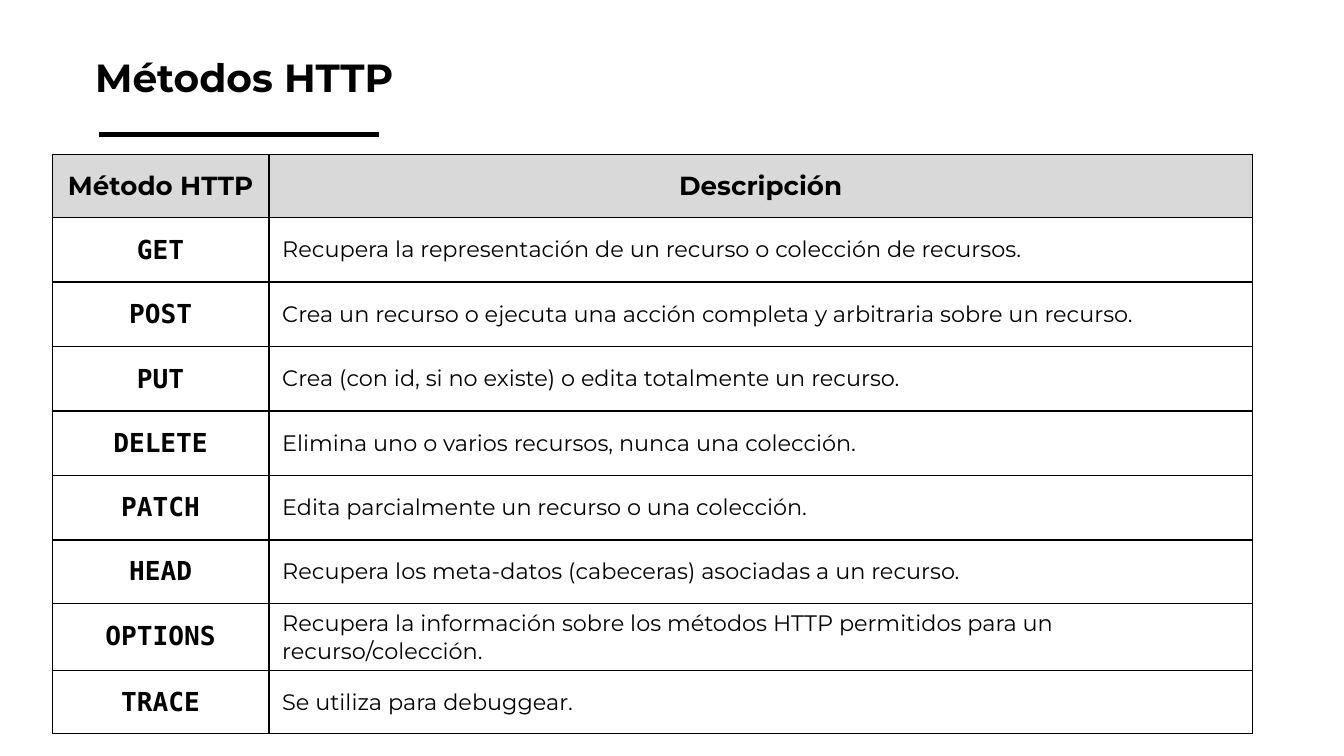
from dataclasses import dataclass

from pptx import Presentation
from pptx.dml.color import RGBColor as RGB
from pptx.enum.shapes import MSO_CONNECTOR as Conn
from pptx.enum.text import MSO_ANCHOR as Anchor, MSO_AUTO_SIZE as Fit, PP_ALIGN as Align
from pptx.oxml.ns import qn
from pptx.util import Inches, Pt
from lxml.etree import SubElement as Sub


@dataclass(frozen=True)
class Theme:
    ink: str = "000000"
    paper: str = "FFFFFF"
    head: str = "D9D9D9"
    sans: str = "Montserrat"
    mono: str = "DejaVu Sans Mono"
    title: int = 21
    label: int = 14
    body: int = 12
    rule: int = 3
    grid: int = 1


class Deck:
    def __init__(self, theme, width, height):
        self.theme = theme
        self.prs = Presentation()
        self.prs.slide_width = Inches(width)
        self.prs.slide_height = Inches(height)
        self.slide = self.prs.slides.add_slide(self.prs.slide_layouts[6])
        fill = self.slide.background.fill
        fill.solid()
        fill.fore_color.rgb = RGB.from_string(theme.paper)

    def run(self, par, text, size, face, bold=True):
        run = par.add_run()
        run.text = text
        font = run.font
        font.size, font.name, font.bold = Pt(size), face, bold
        font.color.rgb = RGB.from_string(self.theme.ink)

    def rule(self, left, right, y):
        line = self.slide.shapes.add_connector(
            Conn.STRAIGHT, Inches(left), Inches(y), Inches(right), Inches(y))
        line.line.color.rgb = RGB.from_string(self.theme.ink)
        line.line.width = Pt(self.theme.rule)
        Sub(line._element.spPr, qn("a:effectLst"))

    def title(self, text, *box):
        frame = self.slide.shapes.add_textbox(*map(Inches, box)).text_frame
        frame.word_wrap = True
        frame.auto_size = Fit.SHAPE_TO_FIT_TEXT
        frame.vertical_anchor = Anchor.MIDDLE
        frame.margin_left = frame.margin_right = Inches(0.1)
        frame.margin_top = frame.margin_bottom = Inches(0.1)
        par = frame.paragraphs[0]
        par.line_spacing = 1.15
        self.run(par, text, self.theme.title, self.theme.sans)

    def edge(self, cell):
        props = cell._tc.get_or_add_tcPr()
        for i, side in enumerate(("a:lnL", "a:lnR", "a:lnT", "a:lnB")):
            line = props.makeelement(qn(side), {"w": str(Pt(self.theme.grid))})
            fill = Sub(line, qn("a:solidFill"))
            Sub(fill, qn("a:srgbClr"), val=self.theme.ink)
            props.insert(i, line)  # borders come before the fill

    def cell(self, cell, text, size, face, bold=True, align=Align.CENTER, fill=None):
        cell.vertical_anchor = Anchor.MIDDLE
        if fill:
            cell.fill.solid()
            cell.fill.fore_color.rgb = RGB.from_string(fill)
        else:
            cell.fill.background()
        self.edge(cell)
        par = cell.text_frame.paragraphs[0]
        par.alignment = align
        self.run(par, text, size, face, bold)

    def table(self, left, top, cols, rows, head, data):
        t = self.theme
        table = self.slide.shapes.add_table(
            len(rows), len(cols), Inches(left), Inches(top),
            Inches(sum(cols)), Inches(sum(rows))).table
        for col, width in zip(table.columns, cols):
            col.width = Inches(width)
        for row, height in zip(table.rows, rows):
            row.height = Inches(height)
        for c, text in enumerate(head):
            self.cell(table.cell(0, c), text, t.label, t.sans, fill=t.head)
        for r, (verb, note) in enumerate(data, 1):
            self.cell(table.cell(r, 0), verb, t.label, t.mono)
            self.cell(table.cell(r, 1), note, t.body, t.sans, False, Align.LEFT)

    def save(self):
        self.prs.save("out.pptx")


WIDTH = 10
HEAD = ("Método HTTP", "Descripción")
VERBS = [
    ("GET", "Recupera la representación de un recurso o colección de recursos."),
    ("POST", "Crea un recurso o ejecuta una acción completa y arbitraria sobre un recurso."),
    ("PUT", "Crea (con id, si no existe) o edita totalmente un recurso."),
    ("DELETE", "Elimina uno o varios recursos, nunca una colección."),
    ("PATCH", "Edita parcialmente un recurso o una colección."),
    ("HEAD", "Recupera los meta-datos (cabeceras) asociadas a un recurso."),
    ("OPTIONS", "Recupera la información sobre los métodos HTTP permitidos "
                "para un recurso/colección."),
    ("TRACE", "Se utiliza para debuggear."),
]


def main():
    deck = Deck(Theme(), WIDTH, WIDTH * 9 / 16)

    # Title and its underline
    deck.rule(0.74, 2.82, 1)
    deck.title("Métodos HTTP", 0.61, 0.24, 6.57, 0.61)

    # Table of methods
    rows = [0.47] + [0.48] * 5 + [0.47] * 3
    deck.table(0.39, 1.15, (1.61, 7.32), rows, HEAD, VERBS)

    deck.save()


if __name__ == "__main__":
    main()
